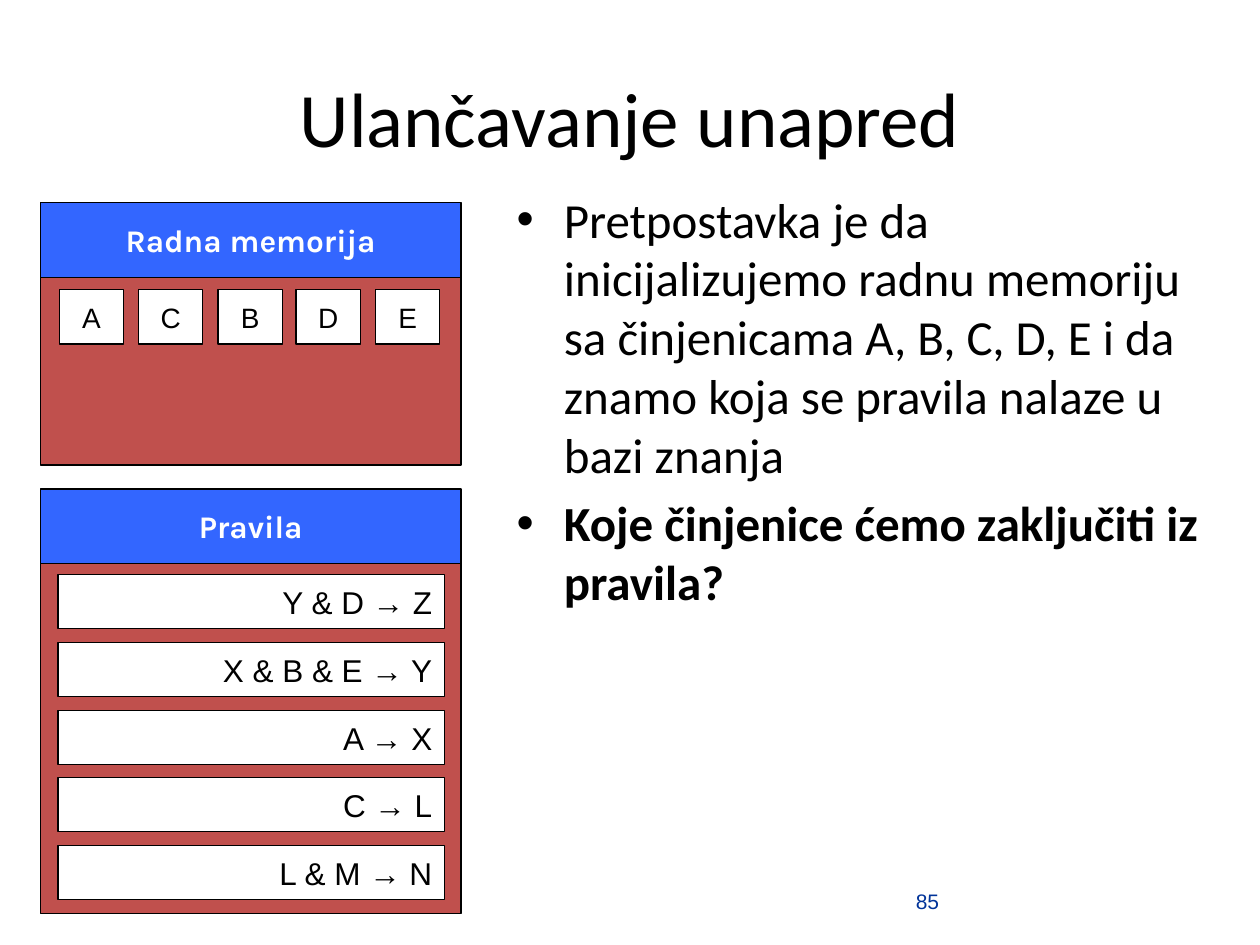
from dataclasses import dataclass

from pptx import Presentation
from pptx.dml.color import RGBColor
from pptx.enum.shapes import MSO_SHAPE
from pptx.enum.text import MSO_ANCHOR, MSO_AUTO_SIZE, PP_ALIGN
from pptx.util import Pt

RECT = MSO_SHAPE.RECTANGLE
LEFT, CENTER, RIGHT = PP_ALIGN.LEFT, PP_ALIGN.CENTER, PP_ALIGN.RIGHT
TOP, MIDDLE = MSO_ANCHOR.TOP, MSO_ANCHOR.MIDDLE
NO_FIT = MSO_AUTO_SIZE.NONE
PX = 9144  # EMU per px, 100 px to the inch


@dataclass(frozen=True)
class Theme:
    black: RGBColor = RGBColor(0, 0, 0)
    white: RGBColor = RGBColor(255, 255, 255)
    header: RGBColor = RGBColor(0x33, 0x66, 0xFF)
    panel: RGBColor = RGBColor(0xC0, 0x50, 0x4D)
    number: RGBColor = RGBColor(0x00, 0x33, 0x99)
    line: float = 0.75
    title_size: int = 44
    body_size: int = 28
    label_size: int = 18
    fact_size: int = 16
    number_size: int = 12


THEME = Theme()


def font_format(name, size, color, bold=False):
    return {"name": name, "size": Pt(size), "bold": bold, "color": color}


TITLE = font_format("Calibri", THEME.title_size, THEME.black)
BODY = font_format("Calibri", THEME.body_size, THEME.black)
HEADER = font_format("Karla", THEME.label_size, THEME.white, True)
RULE = font_format("Arial", THEME.label_size, THEME.black)
FACT = font_format("Arial", THEME.fact_size, THEME.black)
NUMBER = font_format("Arial", THEME.number_size, THEME.number)


def emu(box):
    return [length * PX for length in box]


def place(shape, box):
    shape.left, shape.top, shape.width, shape.height = emu(box)


def write(para, text, style, align=LEFT):
    para.alignment = align
    span = para.add_run()
    span.text = text
    for key, value in style.items():
        if key == "color":
            span.font.color.rgb = value
        else:
            setattr(span.font, key, value)


def set_frame(frame, anchor, wrap=True):
    values = {"auto_size": NO_FIT, "word_wrap": wrap, "vertical_anchor": anchor}
    for key, value in values.items():
        setattr(frame, key, value)


def add_rect(group, box, fill, text="", style=None, align=CENTER):
    shape = group.shapes.add_shape(RECT, *emu(box))
    shape.shadow.inherit = False
    shape.fill.solid()
    shape.fill.fore_color.rgb = fill
    shape.line.color.rgb = THEME.black
    shape.line.width = Pt(THEME.line)
    if text:
        set_frame(shape.text_frame, MIDDLE, wrap=False)
        write(shape.text_frame.paragraphs[0], text, style, align)


def add_panel(page, box, heading):
    """Coloured panel with a header bar; returns its group."""
    left, top, width, height = box
    bar = 59
    group = page.shapes.add_group_shape()
    add_rect(group, (left, top + bar - 1, width, height - bar + 1), THEME.panel)
    add_rect(group, (left, top, width, bar), THEME.header, heading, HEADER)
    return group


def add_memory(page, box, facts):
    """Working memory: a row of fact cards."""
    left, top = box[:2]
    group = add_panel(page, box, "Radna memorija")
    for index, fact in enumerate(facts):
        card = (left + 15 + round(62.75 * index), top + 69, 51, 43)
        add_rect(group, card, THEME.white, fact, FACT)


def add_rules(page, box, rules):
    """Rule base: a column of rule cards."""
    left, top, width, _ = box
    group = add_panel(page, box, "Pravila")
    for index, rule in enumerate(rules):
        card = (left + 14, top + 68 + round(53.75 * index), width - 27, 43)
        add_rect(group, card, THEME.white, rule, RULE, RIGHT)


def add_title(page, box, text):
    title = page.shapes.title
    place(title, box)
    set_frame(title.text_frame, MIDDLE)
    write(title.text_frame.paragraphs[0], text, TITLE, CENTER)


def add_body(page, box, items):
    """Bulleted list; bullets and indents come from the template."""
    body = page.placeholders[1]
    place(body, box)
    frame = body.text_frame
    set_frame(frame, TOP)
    for index, (text, bold) in enumerate(items):
        para = frame.add_paragraph() if index else frame.paragraphs[0]
        para.space_before = Pt(THEME.body_size * 0.2 if index else 0)
        write(para, text, {**BODY, "bold": bold})


def add_number(page, box, text):
    frame = page.shapes.add_textbox(*emu(box)).text_frame
    set_frame(frame, MIDDLE)
    write(frame.paragraphs[0], text, NUMBER)


def main():
    deck = Presentation()
    deck.slide_width, deck.slide_height = emu((1000, 750))
    page = deck.slides.add_slide(deck.slide_layouts[1])

    add_title(page, (50, 30, 900, 125), "Ulančavanje unapred")
    add_body(page, (400, 145, 575, 580), [
        ("Pretpostavka je da inicijalizujemo radnu memoriju sa činjenicama "
         "A, B, C, D, E i da znamo koja se pravila nalaze u bazi znanja", False),
        ("Koje činjenice ćemo zaključiti iz pravila?", True),
    ])
    add_number(page, (717, 695, 233, 40), "85")
    add_rules(page, (32, 388, 334, 337), [
        "Y & D → Z", "X & B & E → Y", "A → X", "C → L", "L & M → N"])
    add_memory(page, (32, 161, 334, 208), "ACBDE")

    deck.save("out.pptx")


if __name__ == "__main__":
    main()
